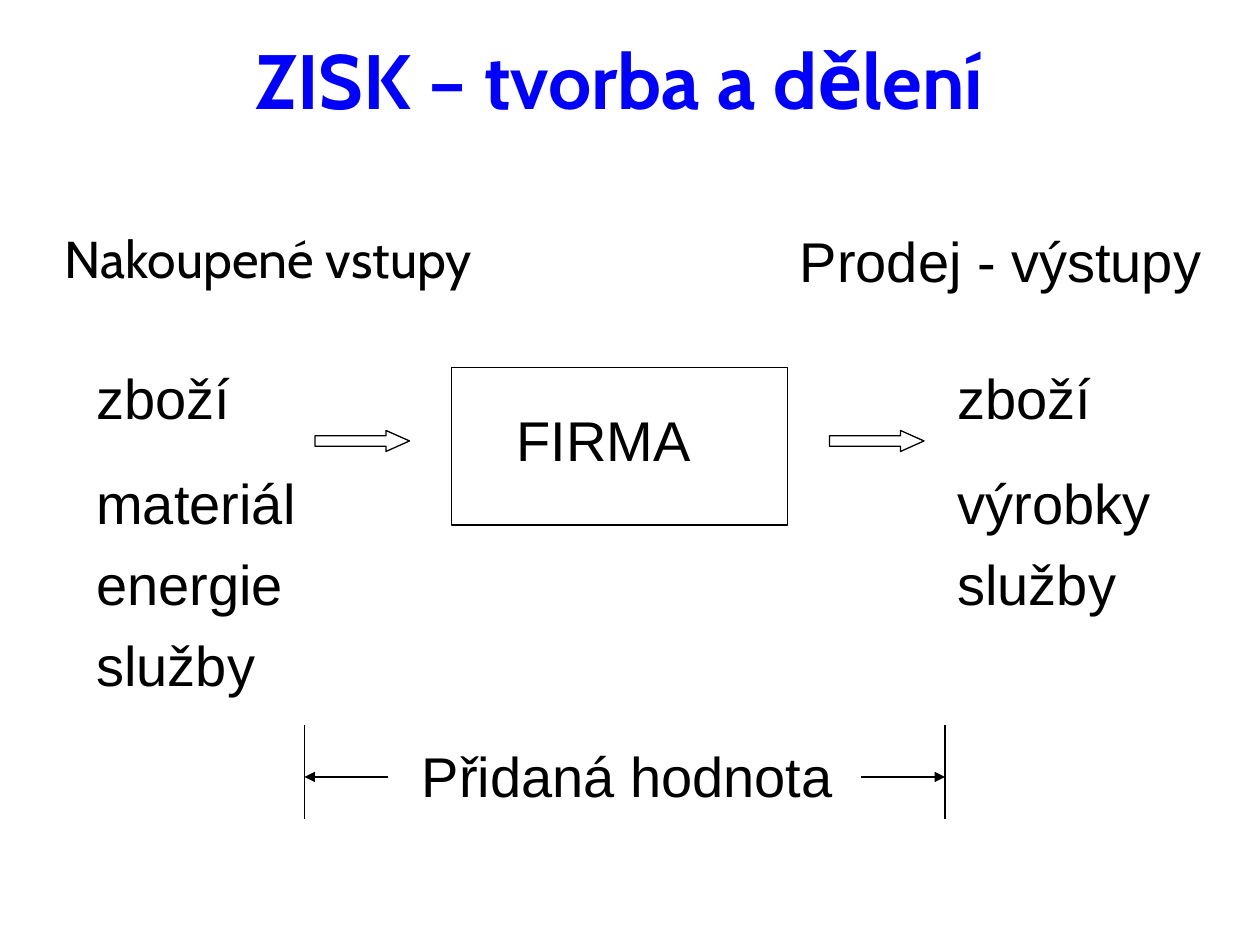
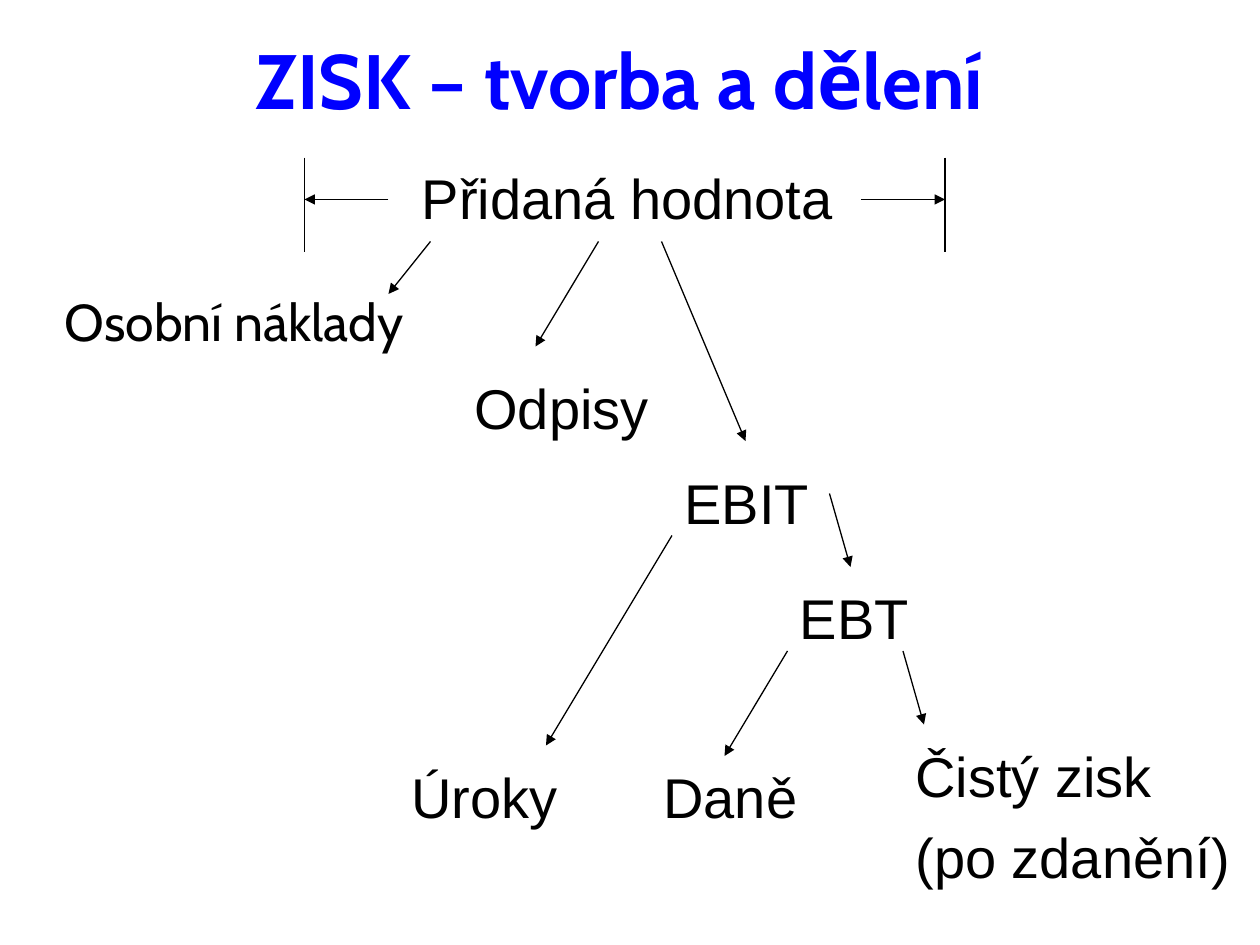
from lxml.etree import SubElement
from pptx import Presentation
from pptx.dml.color import RGBColor
from pptx.enum.shapes import MSO_CONNECTOR, MSO_SHAPE
from pptx.enum.text import MSO_ANCHOR, PP_ALIGN
from pptx.oxml.ns import qn
from pptx.util import Inches, Pt

BLACK = RGBColor(0, 0, 0)
WHITE = RGBColor(255, 255, 255)
BLUE = RGBColor(0, 0, 255)

# Content: places are columns and rows of a 120 x 90 grid
COLS, ROWS = 120, 90
TITLE = "ZISK – tvorba a dělení"
VALUE_ADDED = "Přidaná hodnota"
HEADING = {"size": 29.6, "font": "Cabin"}

FLOW_LABELS = [  # lines, (column, row, columns, rows), format
    (["Nakoupené vstupy"], (5, 21, 48, 9), HEADING),
    (["Prodej - výstupy"], (75, 21, 43, 9), {}),
    (["zboží"], (8, 34, 16, 8), {}),
    (["zboží"], (90, 34, 16, 8), {}),
    (["materiál", "energie", "služby"], (8, 44, 30, 23), {}),
    (["výrobky", "služby"], (90, 44, 24, 17), {}),
]
FIRM_BOX = (43, 35, 32, 15)
FIRM_LABEL = (48, 38, 20, 8)
BLOCK_ARROWS = [(30, 41, 9, 2), (79, 41, 9, 2)]

SPLIT_LABELS = [
    (["Osobní náklady"], (5, 27, 41, 9), HEADING),
    (["Odpisy"], (44, 35, 21, 9), {}),
    (["Úroky"], (38, 72, 19, 8), {}),
    (["Daně"], (62, 72, 16, 8), {}),
    (["Čistý zisk", "(po zdanění)"], (86, 70, 34, 17), {}),
    (["EBIT"], (64, 44, 17, 8), {}),
    (["EBT"], (75, 55, 13, 8), {}),
]
SPLIT_ARROWS = [  # start, end
    ((57, 23), (51, 33)), ((63, 23), (71, 42)), ((41, 23), (37, 28)),
    ((79, 47), (81, 54)), ((64, 51), (52, 71)),
    ((86, 62), (88, 69)), ((75, 62), (69, 72)),
]

prs = Presentation()
prs.slide_width, prs.slide_height = Inches(10), Inches(7.5)


def grid(*values):
    """Turn alternating columns and rows into lengths."""
    units = (prs.slide_width / COLS, prs.slide_height / ROWS)
    return [round(v * units[i % 2]) for i, v in enumerate(values)]


def add_text(s, lines, area, size=32, font="Arial", color=BLACK, bold=False,
             align=PP_ALIGN.LEFT, anchor=MSO_ANCHOR.TOP):
    tf = s.shapes.add_textbox(*grid(*area)).text_frame
    tf.word_wrap = True
    tf.vertical_anchor = anchor
    for i, line in enumerate(lines):
        p = tf.paragraphs[0] if i == 0 else tf.add_paragraph()
        p.alignment = align
        if i:
            p.space_before = Pt(8)
        r = p.add_run()
        r.text = line
        r.font.size, r.font.name, r.font.bold = Pt(size), font, bold
        r.font.color.rgb = color


def add_block(s, kind, area, width):
    sp = s.shapes.add_shape(kind, *grid(*area))
    sp.shadow.inherit = False
    sp.fill.solid()
    sp.fill.fore_color.rgb = WHITE
    sp.line.color.rgb = BLACK
    sp.line.width = Pt(width)
    return sp


def add_line(s, start, end, arrow=True):
    c = s.shapes.add_connector(MSO_CONNECTOR.STRAIGHT, *grid(*start, *end))
    c.line.color.rgb = BLACK
    c.line.width = Pt(0.75)
    if arrow:
        SubElement(c.line._get_or_add_ln(), qn("a:tailEnd"), type="triangle")
    SubElement(c._element.spPr, qn("a:effectLst"))


def add_labels(s, labels):
    for lines, area, look in labels:
        add_text(s, lines, area, **look)


def add_value_added(s, top, arrow_row, height):
    """Label between two limits, with arrows pointing outwards."""
    add_text(s, [VALUE_ADDED], (39, top + (arrow_row - 4 - top), 43, height)
             if arrow_row - top > 4 else (39, top, 43, height))
    for inner, limit in [(37, 29), (82, 90)]:
        add_line(s, (limit, top), (limit, top + 9), arrow=False)
        add_line(s, (inner, arrow_row), (limit, arrow_row))


def new_slide():
    s = prs.slides.add_slide(prs.slide_layouts[6])
    add_text(s, [TITLE], (5, 0, 108, 15), size=44, font="Cabin", color=BLUE,
             bold=True, align=PP_ALIGN.CENTER, anchor=MSO_ANCHOR.MIDDLE)
    return s


# Slide 1: from inputs through the firm to outputs
s = new_slide()
add_labels(s, FLOW_LABELS)
firm = add_block(s, MSO_SHAPE.RECTANGLE, FIRM_BOX, 1)
firm_color = firm._element.spPr.find(qn("a:solidFill"))[0]
SubElement(firm_color, qn("a:alpha"), val="50000")
add_text(s, ["FIRMA"], FIRM_LABEL)
for area in BLOCK_ARROWS:
    add_block(s, MSO_SHAPE.RIGHT_ARROW, area, 0.75).adjustments[1] = 1.12
add_value_added(s, top=69, arrow_row=74, height=9)

# Slide 2: how the value added is divided
s = new_slide()
add_labels(s, SPLIT_LABELS)
add_value_added(s, top=15, arrow_row=19, height=10)
for start, end in SPLIT_ARROWS:
    add_line(s, start, end)

prs.save("out.pptx")
